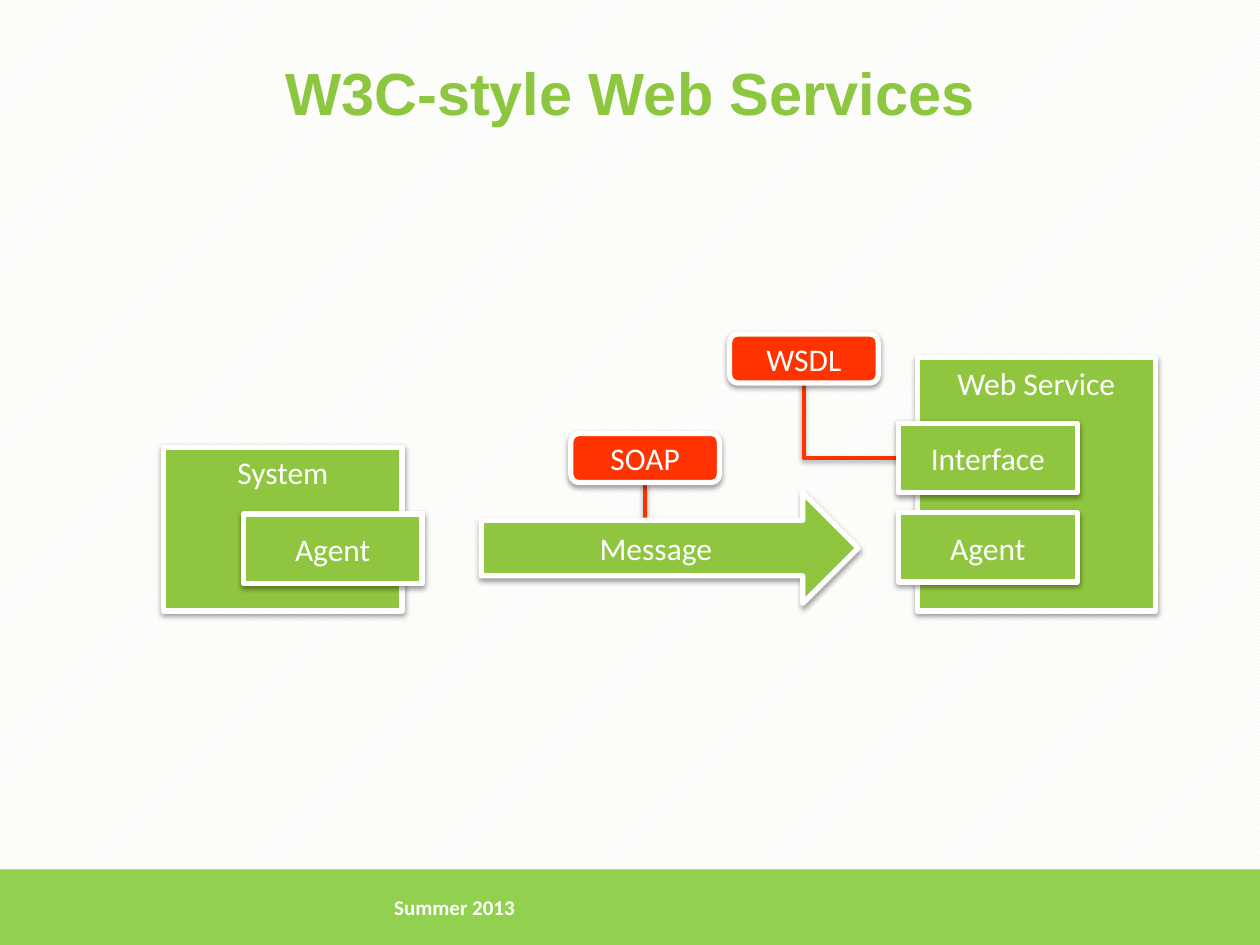
from typing import NamedTuple

from lxml import etree
from pptx import Presentation
from pptx.dml.color import RGBColor
from pptx.enum.dml import MSO_PATTERN
from pptx.enum.shapes import MSO_CONNECTOR, MSO_SHAPE
from pptx.enum.text import MSO_ANCHOR, PP_ALIGN
from pptx.oxml.ns import qn
from pptx.util import Inches, Pt

GREEN = RGBColor(0x90, 0xC6, 0x3F)
TITLE_GREEN = RGBColor(0x8D, 0xC6, 0x3F)
BAND_GREEN = RGBColor(0x92, 0xD0, 0x50)
PALE_GREEN = RGBColor(0xEB, 0xF1, 0xDE)
RED = RGBColor(0xFF, 0x33, 0x00)
WHITE = RGBColor(0xFF, 0xFF, 0xFF)
BLACK = RGBColor(0x00, 0x00, 0x00)

RECTANGLE = MSO_SHAPE.RECTANGLE
ROUNDED = MSO_SHAPE.ROUNDED_RECTANGLE
ARROW = MSO_SHAPE.RIGHT_ARROW
STRAIGHT = MSO_CONNECTOR.STRAIGHT
ELBOW = MSO_CONNECTOR.ELBOW
TOP, MIDDLE = MSO_ANCHOR.TOP, MSO_ANCHOR.MIDDLE
CENTER, LEFT = PP_ALIGN.CENTER, PP_ALIGN.LEFT
DIAGONAL = MSO_PATTERN.LIGHT_UPWARD_DIAGONAL

COLUMNS, ROWS = 100, 75
CELL = Inches(0.1)
PART_WIDTH, PART_HEIGHT = 14.2, 5.5
PARTY_WIDTH = 18.9
TAG_WIDTH, TAG_HEIGHT = 11.8, 3.9


class Box(NamedTuple):
    """A region in grid columns and rows."""

    left: float
    top: float
    width: float
    height: float

    def lengths(self):
        """Return the region as slide lengths."""
        return [round(value * CELL) for value in self]

    def middle(self):
        """Return the column halfway across the region."""
        return self.left + self.width / 2


def add_shadow(shape):
    """Give a shape or connector a soft shadow below it."""
    properties = shape._element.spPr
    for effects in properties.findall(qn("a:effectLst")):
        properties.remove(effects)
    effects = etree.SubElement(properties, qn("a:effectLst"))
    shadow = etree.SubElement(effects, qn("a:outerShdw"), blurRad="40000",
                              dist="20000", dir="5400000", rotWithShape="0")
    color = etree.SubElement(shadow, qn("a:srgbClr"), val=str(BLACK))
    etree.SubElement(color, qn("a:alpha"), val="38000")


def write_text(shape, text, size, color, font="Calibri", bold=False,
               align=CENTER, anchor=MIDDLE, wrap=True):
    """Write one formatted run into a shape."""
    frame = shape.text_frame
    frame.word_wrap = wrap
    frame.vertical_anchor = anchor
    paragraph = frame.paragraphs[0]
    paragraph.alignment = align
    run = paragraph.add_run()
    run.text = text
    run.font.name = font
    run.font.size = Pt(size)
    run.font.bold = bold
    run.font.color.rgb = color


def add_block(slide, box, text, kind=RECTANGLE, fill=GREEN, anchor=MIDDLE, wrap=False):
    """Draw a white-edged, shadowed block with a label."""
    shape = slide.shapes.add_shape(kind, *box.lengths())
    shape.fill.solid()
    shape.fill.fore_color.rgb = fill
    shape.line.color.rgb = WHITE
    shape.line.width = Pt(3)
    add_shadow(shape)
    write_text(shape, text, 18, WHITE, anchor=anchor, wrap=wrap)


def add_link(slide, kind, start, end):
    """Draw a red connector between two grid points."""
    points = [round(value * CELL) for value in (*start, *end)]
    connector = slide.shapes.add_connector(kind, *points)
    connector.line.color.rgb = RED
    connector.line.width = Pt(2)
    add_shadow(connector)
    return connector


def add_party(slide, box, name, parts):
    """Draw a party with its parts, each given as label and offset."""
    add_block(slide, box, name, anchor=TOP)
    for label, across, down in parts:
        part = Box(box.left + across, box.top + down, PART_WIDTH, PART_HEIGHT)
        add_block(slide, part, label)


def add_diagram(slide, box):
    """Draw the exchange between the system and the web service."""
    bottom = box.top + box.height
    system = Box(box.left, bottom - 13, PARTY_WIDTH, 13)
    service = Box(box.left + box.width - PARTY_WIDTH, bottom - 20.1, PARTY_WIDTH, 20.1)
    message = Box(box.left + 25.2, bottom - 9.4, 29.9, 8.8)
    soap = Box(box.left + 32.3, box.top + 7.9, TAG_WIDTH, TAG_HEIGHT)
    wsdl = Box(box.left + 44.9, box.top, TAG_WIDTH, TAG_HEIGHT)
    interface_left = service.left - 1.5
    interface_middle = service.top + 5.2 + PART_HEIGHT / 2

    add_link(slide, STRAIGHT, (soap.middle(), soap.top + soap.height),
             (soap.middle(), message.top + message.height / 4))
    elbow = add_link(slide, ELBOW, (interface_left, interface_middle),
                     (wsdl.middle(), wsdl.top + wsdl.height))
    elbow._element.spPr.find(qn("a:prstGeom")).set("prst", "bentConnector2")

    add_party(slide, service, "Web Service",
              [("Interface", -1.5, 5.2), ("Agent", -1.5, 12.3)])
    add_party(slide, system, "System", [("Agent", 6.3, 5.3)])
    add_block(slide, message, "Message", ARROW, wrap=True)
    for tag, label in ((soap, "SOAP"), (wsdl, "WSDL")):
        add_block(slide, tag, label, ROUNDED, RED, wrap=True)


def add_title(slide, box):
    """Place and format the title placeholder."""
    title = slide.shapes.title
    title.left, title.top, title.width, title.height = box.lengths()
    write_text(title, "W3C-style Web Services", 34, TITLE_GREEN, "Arial", True)


def add_footer(slide, box):
    """Draw the footer band and its term label."""
    band = slide.shapes.add_shape(RECTANGLE, *box.lengths())
    band.shadow.inherit = False
    band.fill.solid()
    band.fill.fore_color.rgb = BAND_GREEN
    band.line.fill.background()
    label = Box(box.left + 30.3, box.top, 60.2, box.height)
    textbox = slide.shapes.add_textbox(*label.lengths())
    write_text(textbox, "Summer 2013", 12, WHITE, bold=True, align=LEFT)


def main():
    """Build and save the presentation."""
    presentation = Presentation()
    presentation.slide_width = COLUMNS * CELL
    presentation.slide_height = ROWS * CELL
    slide = presentation.slides.add_slide(presentation.slide_layouts[5])
    background = slide.background.fill
    background.patterned()
    background.pattern = DIAGONAL
    background.fore_color.rgb = PALE_GREEN
    background.back_color.rgb = WHITE
    add_footer(slide, Box(0, 69, COLUMNS, 6))
    add_title(slide, Box(5, 3, 90, 8.5))
    add_diagram(slide, Box(13, 26.5, 78.7, 22))
    presentation.save("out.pptx")


if __name__ == "__main__":
    main()
